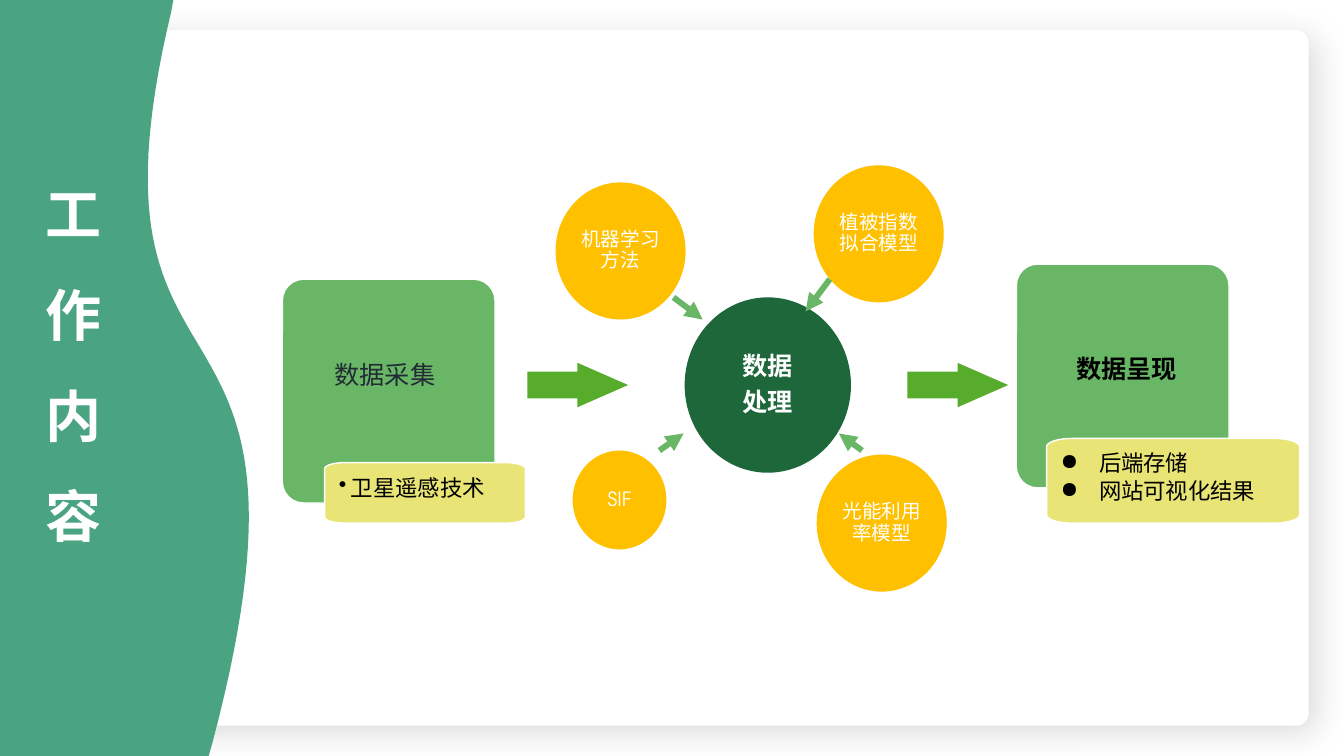
import math
from dataclasses import dataclass

from lxml import etree
from pptx import Presentation
from pptx.dml.color import RGBColor
from pptx.enum.shapes import MSO_CONNECTOR, MSO_SHAPE
from pptx.enum.text import MSO_ANCHOR, PP_ALIGN
from pptx.oxml.ns import qn
from pptx.shapes.autoshape import Shape
from pptx.shapes.shapetree import SlideShapes
from pptx.util import Inches, Pt

OVAL, ROUNDED, ARROW = MSO_SHAPE.OVAL, MSO_SHAPE.ROUNDED_RECTANGLE, MSO_SHAPE.RIGHT_ARROW
STRAIGHT = MSO_CONNECTOR.STRAIGHT
CENTER, LEFT = PP_ALIGN.CENTER, PP_ALIGN.LEFT
TOP, MIDDLE = MSO_ANCHOR.TOP, MSO_ANCHOR.MIDDLE

Point = tuple[float, float]
Box = tuple[float, float, float, float]


@dataclass(frozen=True)
class Theme:
    white: str = "FFFFFF"
    black: str = "000000"
    wave: str = "4AA481"
    hub: str = "1D673A"
    method: str = "FFC000"
    stage: str = "69B766"
    note: str = "E8E476"
    flow: str = "57AC2B"
    ink: str = "222A35"
    latin: str = "TeX Gyre Adventor"
    chinese: str = "Noto Sans CJK SC"
    title_size: float = 40
    heading_size: float = 18
    note_size: float = 16
    method_size: float = 14


THEME = Theme()


@dataclass(frozen=True)
class TextStyle:
    size: float
    color: str
    font: str = THEME.latin
    bold: bool = False
    align: PP_ALIGN = CENTER
    spacing: float = 0.9
    after: float = 0.35
    bullet: str = ""
    indent: float = 0


@dataclass(frozen=True)
class Circle:
    lines: list[str]
    box: Box
    fill: str
    style: TextStyle


@dataclass(frozen=True)
class Stage:
    label: str
    box: Box
    label_box: Box
    label_style: TextStyle
    notes: list[str]
    note_box: Box
    bullet: str
    indent: float
    arrow_left: float


TITLE_STYLE = TextStyle(THEME.title_size, THEME.white, THEME.chinese, True, spacing=1.5, after=0)
HUB_STYLE = TextStyle(THEME.heading_size, THEME.white, bold=True)
METHOD_STYLE = TextStyle(THEME.method_size, THEME.white)

CIRCLES = [
    Circle(["数据", "处理"], (6.79, 2.95, 1.65, 1.74), THEME.hub, HUB_STYLE),
    Circle(["植被指数拟合模型"], (8.07, 1.64, 1.29, 1.36), THEME.method, METHOD_STYLE),
    Circle(["光能利用率模型"], (8.1, 4.51, 1.29, 1.36), THEME.method, METHOD_STYLE),
    Circle(["SIF"], (5.68, 4.47, 0.93, 0.98), THEME.method, METHOD_STYLE),
    Circle(["机器学习方法"], (5.51, 1.81, 1.29, 1.36), THEME.method, METHOD_STYLE),
]
METHOD_LINKS: list[tuple[Point, Point]] = [
    ((6.68, 2.95), (6.97, 3.17)),
    ((8.23, 2.77), (7.99, 3.09)),
    ((6.54, 4.47), (6.78, 4.3)),
    ((8.55, 4.47), (8.32, 4.3)),
]
STAGES = [
    Stage("数据采集", (2.8, 2.77, 2.11, 2.22), (3.22, 3.55, 1.44, 0.44),
          TextStyle(THEME.heading_size, THEME.ink, THEME.chinese, align=LEFT),
          ["卫星遥感技术"], (3.22, 4.59, 1.99, 0.6), "•", 0.12, 5.23),
    Stage("数据呈现", (10.08, 2.62, 2.11, 2.22), (10.32, 3.49, 1.71, 0.33),
          TextStyle(THEME.heading_size, THEME.black, bold=True),
          ["后端存储", "网站可视化结果"], (10.38, 4.35, 2.51, 0.84), "●", 0.38, 9),
]
WAVE_CURVE: list[Point] = [(1.7, 0.11), (0.68, 4.37), (3.41, 2.45), (2.11, 7.36)]


def inches(box: Box) -> list[int]:
    return [Inches(length) for length in box]


def paint(shape: Shape, fill: str, outline: str = "") -> Shape:
    shape.shadow.inherit = False
    shape.fill.solid()
    shape.fill.fore_color.rgb = RGBColor.from_string(fill)
    if outline:
        shape.line.color.rgb = RGBColor.from_string(outline)
        shape.line.width = Pt(1)
    else:
        shape.line.fill.background()
    return shape


def write(shape: Shape, lines: list[str], style: TextStyle,
          margins: Point = (0.1, 0.05), anchor: MSO_ANCHOR = TOP) -> None:
    frame = shape.text_frame
    frame.word_wrap = True
    frame.vertical_anchor = anchor
    frame.margin_left = frame.margin_right = Inches(margins[0])
    frame.margin_top = frame.margin_bottom = Inches(margins[1])
    frame.text = "\n".join(lines)
    for paragraph in frame.paragraphs:
        paragraph.alignment = style.align
        paragraph.line_spacing = style.spacing
        paragraph.space_after = Pt(style.size * style.after)
        if style.bullet:
            paragraph.level = 1
            properties = paragraph._p.get_or_add_pPr()
            properties.set("marL", str(Inches(style.indent)))
            properties.set("indent", str(-Inches(style.indent)))
            etree.SubElement(properties, qn("a:buChar"), char=style.bullet)
        paragraph.font.name = style.font
        paragraph.font.size = Pt(style.size)
        paragraph.font.bold = style.bold
        paragraph.font.color.rgb = RGBColor.from_string(style.color)


def add_outline(shapes: SlideShapes, points: list[Point]) -> Shape:
    corners = [(Inches(x), Inches(y)) for x, y in points]
    builder = shapes.build_freeform(*corners[0])
    builder.add_line_segments(corners[1:], close=True)
    return builder.convert_to_shape()


def bezier(controls: list[Point], steps: int = 60) -> list[Point]:
    (ax, ay), (bx, by), (cx, cy), (dx, dy) = controls
    points = []
    for step in range(steps + 1):
        t = step / steps
        a, b, c, d = (1 - t) ** 3, 3 * t * (1 - t) ** 2, 3 * t * t * (1 - t), t ** 3
        points.append((a * ax + b * bx + c * cx + d * dx, a * ay + b * by + c * cy + d * dy))
    return points


def note_outline(box: Box, corner: float = 0.1, steps: int = 10) -> list[Point]:
    left, top, width, height = box
    points = []
    for quarter, (right, bottom) in enumerate([(1, 1), (0, 1), (0, 0), (1, 0)]):
        center_x = left + width * (1 - corner if right else corner)
        center_y = top + height * (1 - corner if bottom else corner)
        for step in range(steps + 1):
            angle = (quarter + step / steps) * math.pi / 2
            points.append((center_x + corner * width * math.cos(angle),
                           center_y + corner * height * math.sin(angle)))
    return points


def add_panel(shapes: SlideShapes) -> None:
    panel = paint(shapes.add_shape(ROUNDED, *inches((0.35, 0.3, 12.63, 6.9))), THEME.white)
    panel.adjustments[0] = 0.018
    effects = panel._element.spPr.find(qn("a:effectLst"))
    shadow = etree.SubElement(effects, qn("a:outerShdw"), blurRad=str(Pt(25)), dist=str(Pt(8)),
                              dir=str(45 * 60000), algn="tl", rotWithShape="0")
    color = etree.SubElement(shadow, qn("a:srgbClr"), val=THEME.black)
    etree.SubElement(color, qn("a:alpha"), val="15000")


def add_circle(shapes: SlideShapes, circle: Circle) -> None:
    disc = paint(shapes.add_shape(OVAL, *inches(circle.box)), circle.fill)
    write(disc, circle.lines, circle.style, (0.05, 0.05), MIDDLE)


def add_link(shapes: SlideShapes, start: Point, end: Point) -> None:
    link = shapes.add_connector(STRAIGHT, *inches(start + end))
    link.line.color.rgb = RGBColor.from_string(THEME.stage)
    link.line.width = Pt(4.25)
    etree.SubElement(link.line._get_or_add_ln(), qn("a:tailEnd"), type="triangle")
    etree.SubElement(link._element.spPr, qn("a:effectLst"))


def add_stage(shapes: SlideShapes, stage: Stage) -> None:
    card = paint(shapes.add_shape(ROUNDED, *inches(stage.box)), THEME.stage, THEME.white)
    card.adjustments[0] = 0.1
    note = paint(add_outline(shapes, note_outline(stage.note_box)), THEME.note, THEME.white)
    note_style = TextStyle(THEME.note_size, THEME.black, align=LEFT, after=0.15,
                           bullet=stage.bullet, indent=stage.indent)
    write(note, stage.notes, note_style, (0.14, 0.14))
    write(shapes.add_textbox(*inches(stage.label_box)), [stage.label], stage.label_style)
    arrow = paint(shapes.add_shape(ARROW, *inches((stage.arrow_left, 3.6, 1, 0.44))), THEME.flow)
    arrow.adjustments[0] = 0.6
    arrow.adjustments[1] = 1.14


def main() -> None:
    deck = Presentation()
    deck.slide_width, deck.slide_height = Inches(13.33), Inches(7.5)
    shapes = deck.slides.add_slide(deck.slide_layouts[6]).shapes
    add_panel(shapes)
    wave = [(0, 7.5), (0, 0), (1.72, 0), *bezier(WAVE_CURVE), (2.07, 7.5)]
    paint(add_outline(shapes, wave), THEME.wave)
    write(shapes.add_textbox(*inches((0.19, 1.4, 1.07, 4.02))), ["工作内容"], TITLE_STYLE)
    for circle in CIRCLES:
        add_circle(shapes, circle)
    for start, end in METHOD_LINKS:
        add_link(shapes, start, end)
    for stage in STAGES:
        add_stage(shapes, stage)
    deck.save("out.pptx")


if __name__ == "__main__":
    main()
